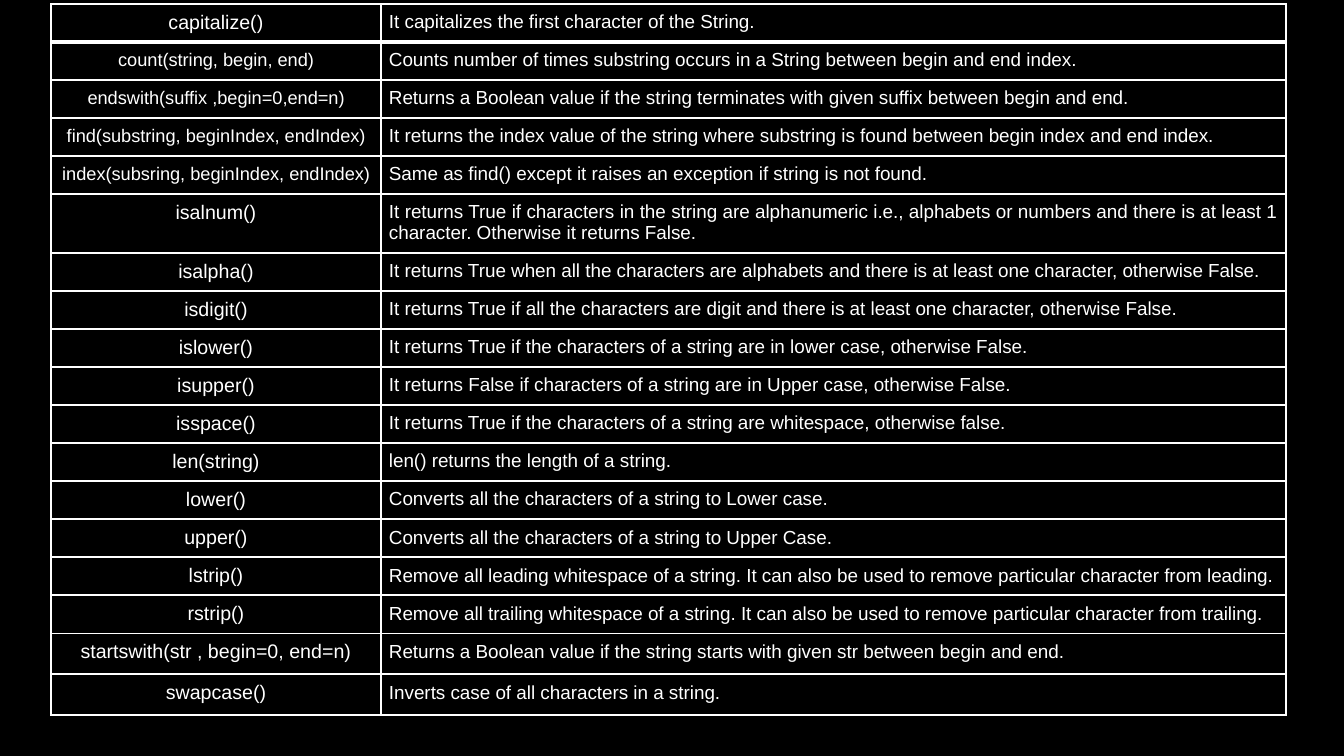
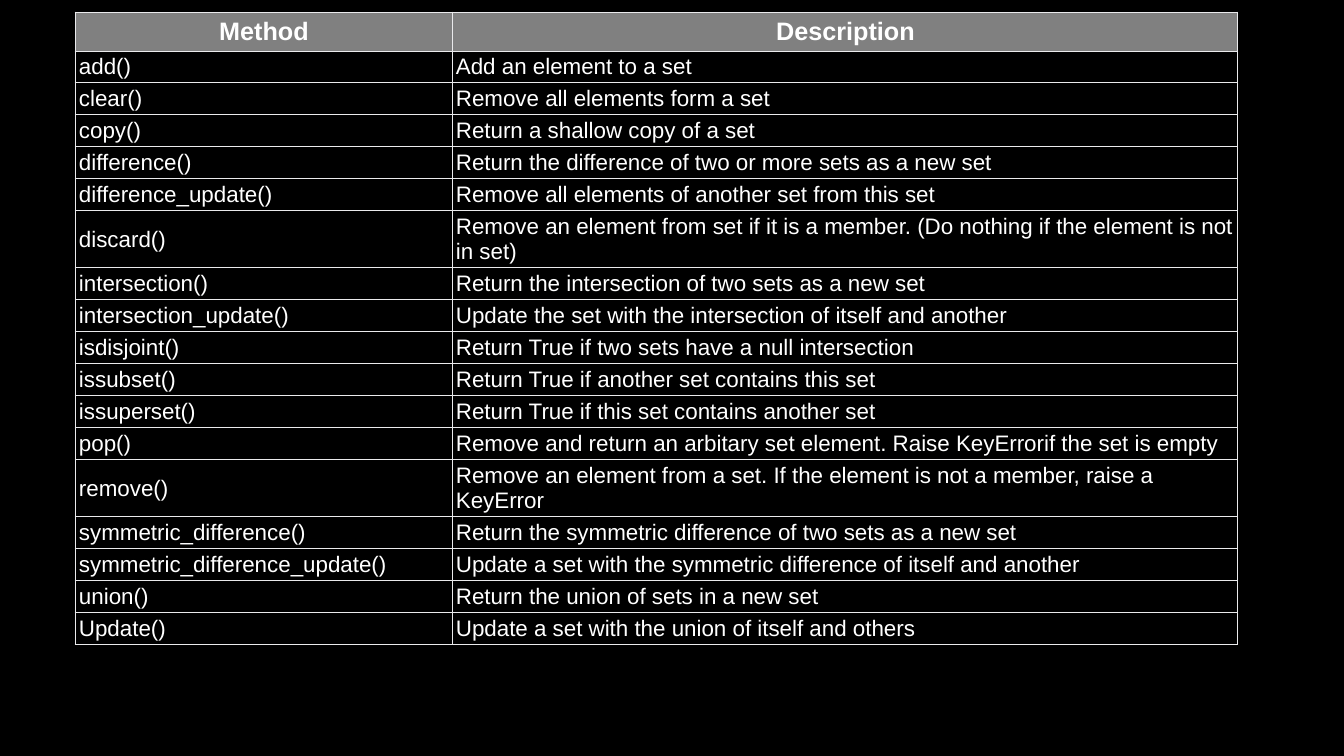
from lxml import etree
from pptx import Presentation
from pptx import util as u
from pptx.dml.color import RGBColor
from pptx.enum import text
from pptx.oxml import ns

PX = 9071.43  # EMU in one px, at 100.8 px to the inch
SLIDE = (1344, 756)
FONT = "Arial"
COLOURS = {
    "background": "000000",
    "text": "FFFFFF",
    "string_grid": "FFFFFF",
    "set_grid": "EAEAEC",
    "header": "808080",
}
LEFT, CENTRE, JUSTIFY = (
    text.PP_ALIGN.LEFT, text.PP_ALIGN.CENTER, text.PP_ALIGN.JUSTIFY)

STRING_METHODS = [
    ("capitalize()", "It capitalizes the first character of the String."),
    ("count(string, begin, end)",
     "Counts number of times substring occurs in a String between begin and end index."),
    ("endswith(suffix ,begin=0,end=n)",
     "Returns a Boolean value if the string terminates with given suffix between begin and end."),
    ("find(substring, beginIndex, endIndex)",
     "It returns the index value of the string where substring is found "
     "between begin index and end index."),
    ("index(subsring, beginIndex, endIndex)",
     "Same as find() except it raises an exception if string is not found."),
    ("isalnum()",
     "It returns True if characters in the string are alphanumeric i.e., alphabets or numbers "
     "and there is at least 1 character. Otherwise it returns False."),
    ("isalpha()",
     "It returns True when all the characters are alphabets and there is at least "
     "one character, otherwise False."),
    ("isdigit()",
     "It returns True if all the characters are digit and there is at least "
     "one character, otherwise False."),
    ("islower()",
     "It returns True if the characters of a string are in lower case, otherwise False."),
    ("isupper()",
     "It returns False if characters of a string are in Upper case, otherwise False."),
    ("isspace()",
     "It returns True if the characters of a string are whitespace, otherwise false."),
    ("len(string)", "len() returns the length of a string."),
    ("lower()", "Converts all the characters of a string to Lower case."),
    ("upper()", "Converts all the characters of a string to Upper Case."),
    ("lstrip()",
     "Remove all leading whitespace of a string. It can also be used to remove "
     "particular character from leading."),
    ("rstrip()",
     "Remove all trailing whitespace of a string. It can also be used to remove "
     "particular character from trailing."),
    ("startswith(str , begin=0, end=n)",
     "Returns a Boolean value if the string starts with given str between begin and end."),
    ("swapcase()", "Inverts case of all characters in a string."),
]

SET_METHODS = [
    ("Method", "Description"),
    ("add()", "Add an element to a set"),
    ("clear()", "Remove all elements form a set"),
    ("copy()", "Return a shallow copy of a set"),
    ("difference()", "Return the difference of two or more sets as a new set"),
    ("difference_update()", "Remove all elements of another set from this set"),
    ("discard()",
     "Remove an element from set if it is a member. "
     "(Do nothing if the element is not in set)"),
    ("intersection()", "Return the intersection of two sets as a new set"),
    ("intersection_update()", "Update the set with the intersection of itself and another"),
    ("isdisjoint()", "Return True if two sets have a null intersection"),
    ("issubset()", "Return True if another set contains this set"),
    ("issuperset()", "Return True if this set contains another set"),
    ("pop()",
     "Remove and return an arbitary set element. Raise KeyErrorif the set is empty"),
    ("remove()",
     "Remove an element from a set. If the element is not a member, raise a KeyError"),
    ("symmetric_difference()", "Return the symmetric difference of two sets as a new set"),
    ("symmetric_difference_update()",
     "Update a set with the symmetric difference of itself and another"),
    ("union()", "Return the union of sets in a new set"),
    ("Update()", "Update a set with the union of itself and others"),
]


def px(length):
    return u.Emu(round(length * PX))


def rgb(name):
    return RGBColor.from_string(COLOURS[name])


def add_dark_slide(prs):
    slide = prs.slides.add_slide(prs.slide_layouts[6])
    slide.background.fill.solid()
    slide.background.fill.fore_color.rgb = rgb("background")
    return slide


def add_grid(slide, left, top, widths, heights):
    """Add a table without built-in bands or header style."""
    table = slide.shapes.add_table(
        len(heights), len(widths), px(left), px(top),
        px(sum(widths)), px(sum(heights))).table
    table.first_row = table.horz_banding = False
    for column, width in zip(table.columns, widths):
        column.width = px(width)
    for row, height in zip(table.rows, heights):
        row.height = px(height)
    return table


def fill_cell(cell, words, size, align, insets, bold=False, fill=None,
              anchor=text.MSO_ANCHOR.TOP):
    """Write the words; insets run left, top, right, bottom in px."""
    cell.margin_left, cell.margin_top, cell.margin_right, cell.margin_bottom = map(px, insets)
    cell.vertical_anchor = anchor
    if fill:
        cell.fill.solid()
        cell.fill.fore_color.rgb = rgb(fill)
    else:
        cell.fill.background()
    paragraph = cell.text_frame.paragraphs[0]
    paragraph.text = words
    paragraph.alignment = align
    font = paragraph.runs[0].font
    font.name, font.size, font.bold = FONT, u.Pt(size), bold
    font.color.rgb = rgb("text")


def border_cell(cell, colour, width, **edge_widths):
    """Draw four borders in points; T or B may override the width."""
    properties = cell._tc.get_or_add_tcPr()
    for place, edge in enumerate("LRTB"):
        line = etree.Element(
            ns.qn("a:ln" + edge), w=str(u.Pt(edge_widths.get(edge, width))))
        solid = etree.SubElement(line, ns.qn("a:solidFill"))
        etree.SubElement(solid, ns.qn("a:srgbClr"), val=COLOURS[colour])
        properties.insert(place, line)


def string_methods_slide(prs):
    heights = [38] * 5 + [59] + [38] * 10 + [41] * 2
    table = add_grid(add_dark_slide(prs), 51, 4, (330, 905), heights)
    for i, (method, description) in enumerate(STRING_METHODS):
        method_size = 13 if 1 <= i <= 4 else 14
        columns = ((method, method_size, CENTRE), (description, 13.5, JUSTIFY))
        thick_edge = {0: {"B": 3}, 1: {"T": 3}}.get(i, {})
        for j, (words, size, align) in enumerate(columns):
            cell = table.cell(i, j)
            fill_cell(cell, words, size, align, (8, 8, 8, 8))
            border_cell(cell, "string_grid", 1, **thick_edge)


def set_methods_slide(prs):
    two_line_methods = ("discard()", "remove()")
    heights = [39] + [57 if method in two_line_methods else 32
                      for method, _ in SET_METHODS[1:]]
    table = add_grid(add_dark_slide(prs), 75, 12, (377, 786), heights)
    header = dict(size=18, align=CENTRE, insets=(4, 5, 3, 5), bold=True, fill="header")
    body = dict(size=16, align=LEFT, insets=(4, 3, 3, 3))
    for i, row in enumerate(SET_METHODS):
        for j, words in enumerate(row):
            cell = table.cell(i, j)
            fill_cell(cell, words, anchor=text.MSO_ANCHOR.MIDDLE,
                      **(body if i else header))
            border_cell(cell, "set_grid", 0.75)


def main():
    prs = Presentation()
    prs.slide_width, prs.slide_height = map(px, SLIDE)
    string_methods_slide(prs)
    set_methods_slide(prs)
    prs.save("out.pptx")


if __name__ == "__main__":
    main()
